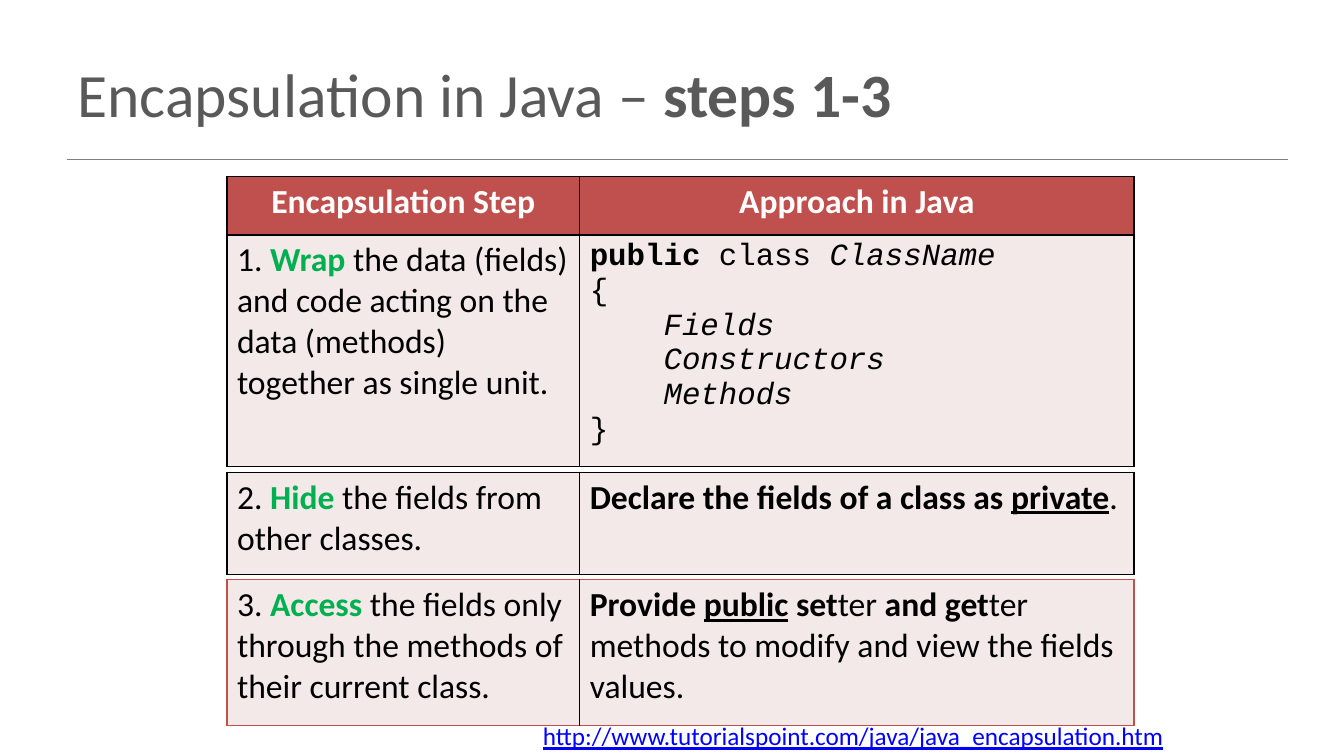
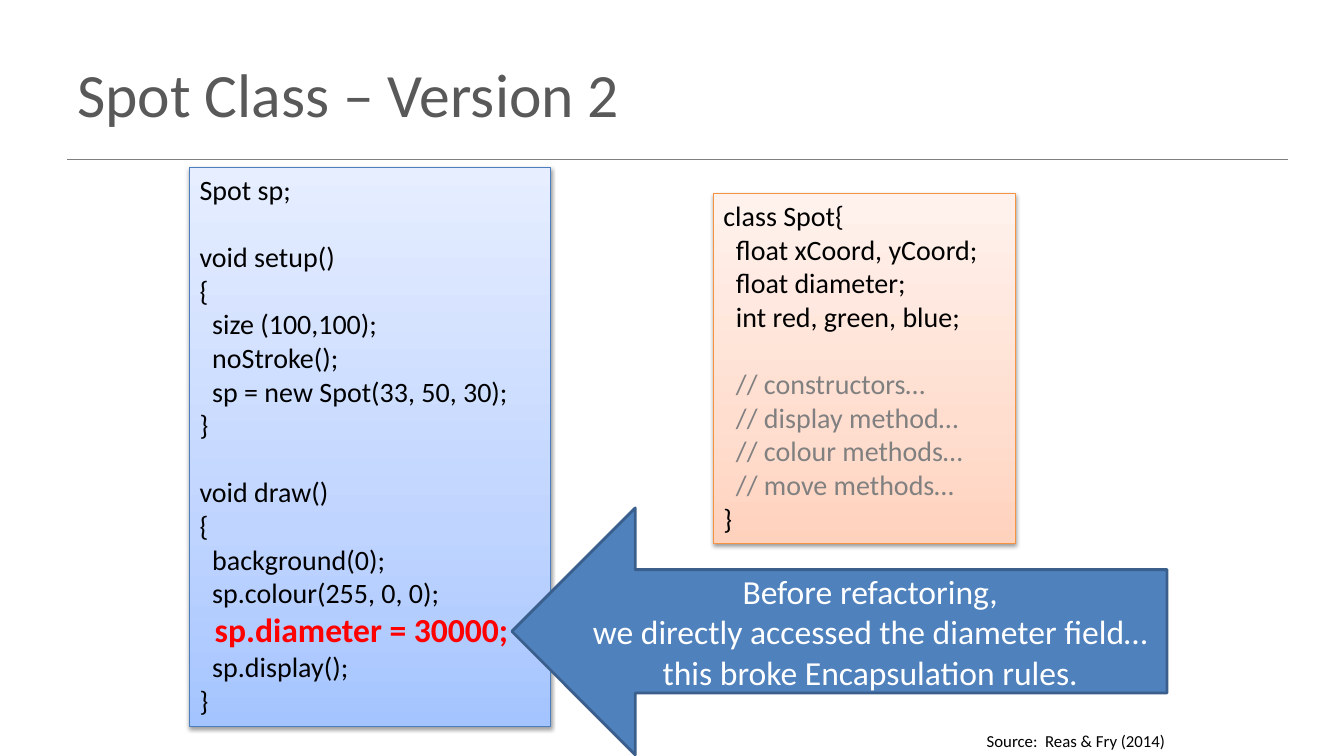
"""Build two lecture slides on encapsulation in Java."""
from pptx import Presentation
from pptx.dml.color import RGBColor
from pptx.enum.shapes import MSO_CONNECTOR, MSO_SHAPE
from pptx.enum.text import MSO_ANCHOR as Anchor, PP_ALIGN as Align
from pptx.oxml import parse_xml
from pptx.oxml.ns import nsdecls, qn
from pptx.util import Cm, Pt

BODY_FONT, CODE_FONT = "Calibri", "Courier New"
BLACK, WHITE, GREY, RED, GREEN = "000000", "FFFFFF", "808080", "FF0000", "00B050"
TITLE, LINK, HEADER, CELL = "595959", "0000FF", "C0504D", "F4E9E9"
ARROW, ARROW_EDGE = "4F81BD", "3A5F8C"
BLUE_PANEL = (((0, "A4C4FF"), (35, "BFD4FF"), (100, "E6EEFF")), "4B7EBC")
ORANGE_PANEL = (((0, "FFD2BD"), (35, "FFDED0"), (100, "FFF2ED")), "F69240")
COLUMNS = (8.89, 13.97)
TABLE_LEFT, TABLE_TOP, TABLE_GAP = 5.72, 4.45, 0.14

HEADINGS = (["Encapsulation Step"], ["Approach in Java"])
WRAP_STEP = (
    [[("1. ", ""), ("Wrap", "bg"),
      (" the data (fields) and code acting on the data (methods) "
       "together as single unit.", "")]],
    [[("public", "b"), (" class ", ""), ("ClassName", "i")],
     "{",
     [("    Fields", "i")],
     [("    Constructors", "i")],
     [("    Methods", "i")],
     "}"],
)
HIDE_STEP = (
    [[("2. ", ""), ("Hide ", "bg"), ("the fields from other classes.", "")]],
    [[("Declare the fields of a class as ", "b"), ("private", "bu"), (".", "")]],
)
ACCESS_STEP = (
    [[("3. ", ""), ("Access ", "bg"),
      ("the fields only through the methods of their current class.", "")]],
    [[("Provide ", "b"), ("public", "bu"), (" set", "b"), ("ter", ""),
      (" and get", "b"),
      ("ter methods to modify and view the fields values.", "")]],
)

SKETCH_CODE = """Spot sp;

void setup()
{
  size (100,100);
  noStroke();
  sp = new Spot(33, 50, 30);
}

void draw()
{
  background(0);
  sp.colour(255, 0, 0);
  sp.diameter = 30000;
  sp.display();
}"""
CLASS_CODE = """class Spot{
  float xCoord, yCoord;
  float diameter;
  int red, green, blue;

  // constructors…
  // display method…
  // colour methods…
  // move methods…
}"""


def rgb(value):
    """Turn a hex string into a colour."""
    return RGBColor.from_string(value)


def style(font, size, colour=BLACK, name=BODY_FONT, bold=None):
    """Set the look of a font."""
    font.size, font.name, font.bold = Pt(size), name, bold
    font.color.rgb = rgb(colour)


def write(frame, paragraphs, size, colour=BLACK, name=BODY_FONT,
          align=Align.LEFT, bold=None):
    """Fill a text frame with strings or lists of marked runs."""
    frame.word_wrap = True
    for index, content in enumerate(paragraphs):
        paragraph = frame.add_paragraph() if index else frame.paragraphs[0]
        paragraph.alignment = align
        style(paragraph.font, size, colour, name, bold)
        runs = [(content, "")] if isinstance(content, str) else content
        for text, marks in runs:
            run = paragraph.add_run()
            run.text = text
            if "b" in marks:
                run.font.bold = True
            if "i" in marks:
                run.font.italic = True
            if "u" in marks:
                run.font.underline = True
            if "g" in marks:
                run.font.color.rgb = rgb(GREEN)


def add_text(slide, left, top, width, height, paragraphs, size, **look):
    """Add a wrapped text box."""
    box = slide.shapes.add_textbox(Cm(left), Cm(top), Cm(width), Cm(height))
    write(box.text_frame, paragraphs, size, **look)
    return box


def add_slide(presentation, title):
    """Add a blank slide with the shared title and rule."""
    slide = presentation.slides.add_slide(presentation.slide_layouts[6])
    rule = slide.shapes.add_connector(
        MSO_CONNECTOR.STRAIGHT, Cm(1.7), Cm(4.02), Cm(32.46), Cm(4.02))
    rule.line.color.rgb = rgb(GREY)
    rule.line.width = Pt(1)
    rule._element.spPr.append(parse_xml(f"<a:effectLst {nsdecls('a')}/>"))
    box = add_text(slide, 1.7, 0.76, 30.48, 3.18, [title], 44, colour=TITLE)
    box.text_frame.vertical_anchor = Anchor.MIDDLE
    return slide


def set_borders(cell, colours):
    """Draw the left, right, top and bottom borders of a cell."""
    properties = cell._tc.get_or_add_tcPr()
    for side, colour in zip("LRTB", colours):
        properties.append(parse_xml(
            f'<a:ln{side} {nsdecls("a")} w="12700"><a:solidFill>'
            f'<a:srgbClr val="{colour}"/></a:solidFill></a:ln{side}>'))


def add_step_table(slide, top, rows, heights, edge=BLACK):
    """Add a two-column table and return its bottom edge."""
    table = slide.shapes.add_table(
        len(rows), len(COLUMNS), Cm(TABLE_LEFT), Cm(top),
        Cm(sum(COLUMNS)), Cm(sum(heights))).table
    table.first_row = table.horz_banding = False
    for column, width in zip(table.columns, COLUMNS):
        column.width = Cm(width)
    for row, height, contents in zip(table.rows, heights, rows):
        row.height = Cm(height)
        is_header = contents is HEADINGS
        for index, (cell, paragraphs) in enumerate(zip(row.cells, contents)):
            sides = (BLACK, edge) if index else (edge, BLACK)
            set_borders(cell, (*sides, edge, edge))
            cell.fill.solid()
            cell.fill.fore_color.rgb = rgb(HEADER if is_header else CELL)
            if is_header:
                look = dict(size=24, colour=WHITE, align=Align.CENTER, bold=True)
            elif len(paragraphs) > 1:
                look = dict(size=22, name=CODE_FONT)
            else:
                look = dict(size=24)
            write(cell.text_frame, paragraphs, **look)
    return top + sum(heights)


def add_shape(slide, kind, left, top, width, height, edge, weight):
    """Add an outlined preset shape without a shadow."""
    shape = slide.shapes.add_shape(kind, Cm(left), Cm(top), Cm(width), Cm(height))
    shape.shadow.inherit = False
    shape.line.color.rgb = rgb(edge)
    shape.line.width = Pt(weight)
    return shape


def add_code_panel(slide, left, top, width, height, palette, code):
    """Add a shaded panel of code with a soft shadow."""
    stops, edge = palette
    shape = add_shape(slide, MSO_SHAPE.RECTANGLE, left, top, width, height, edge, 0.75)
    properties = shape._element.spPr
    stop_list = "".join(
        f'<a:gs pos="{position * 1000}"><a:srgbClr val="{colour}"/></a:gs>'
        for position, colour in stops)
    properties.find(qn("a:ln")).addprevious(parse_xml(
        f'<a:gradFill {nsdecls("a")} rotWithShape="1"><a:gsLst>{stop_list}</a:gsLst>'
        '<a:lin ang="16200000" scaled="0"/></a:gradFill>'))
    properties.find(qn("a:effectLst")).append(parse_xml(
        f'<a:outerShdw {nsdecls("a")} blurRad="{Pt(3.1)}" dist="{Pt(1.6)}" '
        'dir="5400000" rotWithShape="0"><a:srgbClr val="000000">'
        '<a:alpha val="38000"/></a:srgbClr></a:outerShdw>'))
    frame = shape.text_frame
    frame.vertical_anchor = Anchor.TOP
    lines = code.split("\n")
    write(frame, [line for line in lines if line], 20)
    after_gap = [not before for before, line in zip([" "] + lines, lines) if line]
    for paragraph, gap in zip(frame.paragraphs, after_gap):
        if gap:
            paragraph.space_before = Pt(24)
        if "//" in paragraph.text:
            style(paragraph.font, 20, GREY)
        if "sp.diameter" in paragraph.text:
            style(paragraph.font, 24, RED, bold=True)


def add_arrow(slide, paragraphs):
    """Add the arrow that points at the offending line."""
    arrow = add_shape(slide, MSO_SHAPE.LEFT_ARROW, 12.9, 12.8, 16.51, 6.22, ARROW_EDGE, 2)
    arrow.fill.solid()
    arrow.fill.fore_color.rgb = rgb(ARROW)
    arrow.text_frame.vertical_anchor = Anchor.MIDDLE
    write(arrow.text_frame, paragraphs, 24, colour=WHITE, align=Align.CENTER)


def build_steps_slide(presentation):
    """Build the slide of encapsulation steps."""
    slide = add_slide(presentation, [("Encapsulation in Java – ", ""), ("steps 1-3", "b")])
    add_text(slide, 9.45, 18.03, 20.12, 1.02,
             [[("http://www.tutorialspoint.com/java/java_encapsulation.htm", "u")]],
             18, colour=LINK, align=Align.RIGHT)
    top = TABLE_TOP
    for rows, heights, edge in (
            ((HEADINGS, WRAP_STEP), (1.47, 5.84), BLACK),
            ((HIDE_STEP,), (2.57,), BLACK),
            ((ACCESS_STEP,), (3.68,), HEADER)):
        top = add_step_table(slide, top, rows, heights, edge) + TABLE_GAP


def build_spot_slide(presentation):
    """Build the slide of the Spot class."""
    slide = add_slide(presentation, "Spot Class – Version 2")
    add_text(slide, 14.17, 18.29, 15.45, 0.76, ["Source:  Reas & Fry (2014)"],
             12, align=Align.RIGHT)
    add_code_panel(slide, 4.78, 4.22, 9.09, 14.1, BLUE_PANEL, SKETCH_CODE)
    add_code_panel(slide, 17.98, 4.88, 7.62, 8.81, ORANGE_PANEL, CLASS_CODE)
    add_arrow(slide, [
        "Before refactoring,",
        "we directly accessed the diameter field… this broke Encapsulation rules."])


def main():
    """Build and save the presentation."""
    presentation = Presentation()
    presentation.slide_width, presentation.slide_height = Cm(33.87), Cm(19.05)
    build_steps_slide(presentation)
    build_spot_slide(presentation)
    presentation.save("out.pptx")


if __name__ == "__main__":
    main()
